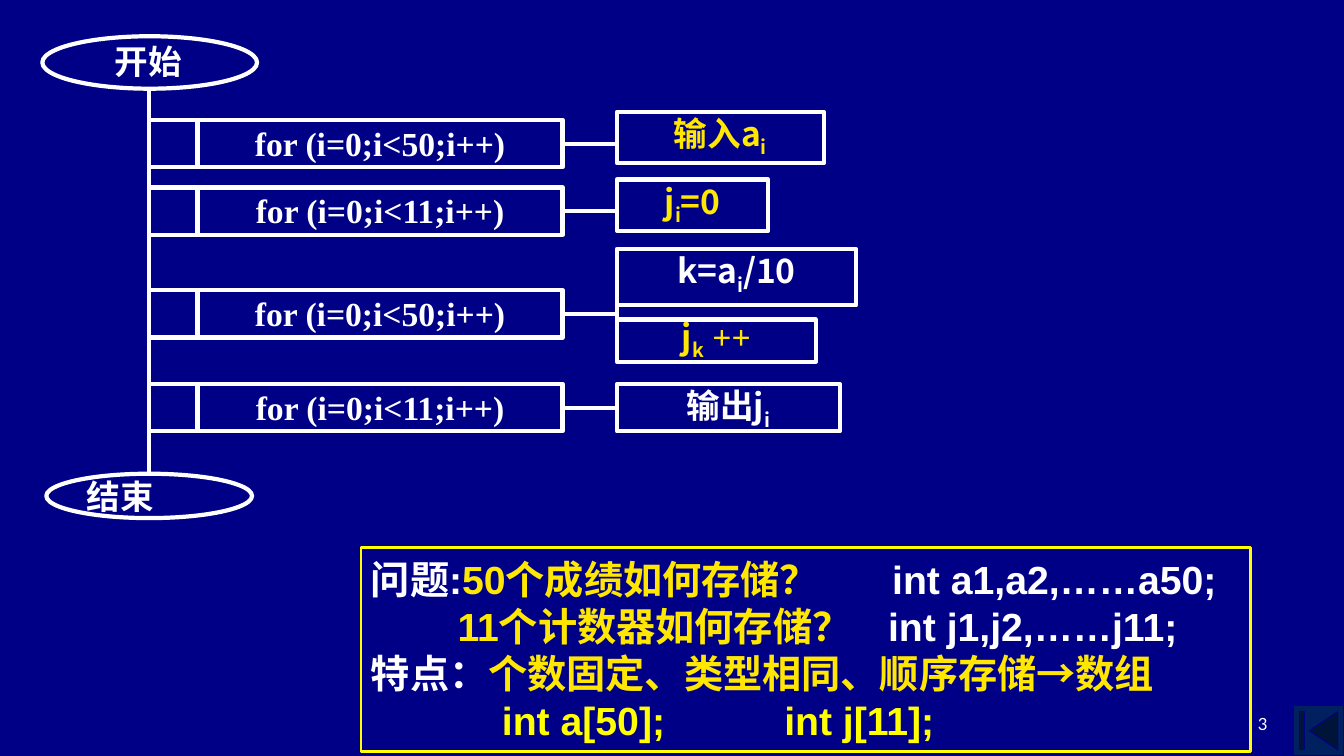
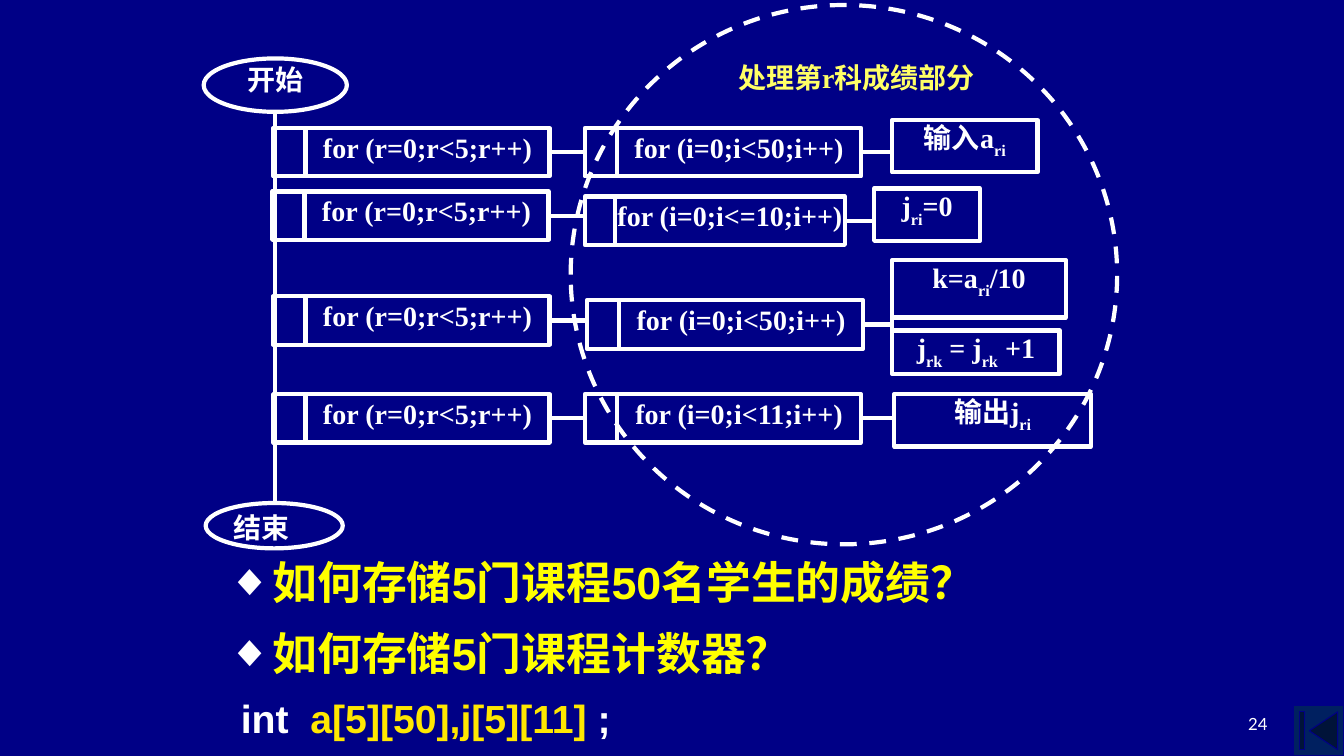
from dataclasses import dataclass

import lxml.etree
import pptx
import pptx.dml.color
import pptx.enum.dml
import pptx.enum.shapes
import pptx.enum.text
import pptx.oxml.ns
import pptx.util

Inches = pptx.util.Inches
Pt = pptx.util.Pt
Shape = pptx.enum.shapes.MSO_SHAPE
Align = pptx.enum.text.PP_ALIGN
Anchor = pptx.enum.text.MSO_ANCHOR

# Shared colours, fonts and measures
NAVY, BUTTON_BLUE = "000086", "002060"
WHITE, GOLD, YELLOW, PALE_YELLOW = "FFFFFF", "FFE701", "FFFF00", "FFFF66"
SERIF, SANS, CJK = "Times New Roman", "Arial", "Noto Sans CJK SC"
INSET = 0.01
STEP_INSET = 0.05
LINE_FACTOR = 1.25


@dataclass(frozen=True)
class Box:
    left: float
    top: float
    width: float
    height: float


@dataclass(frozen=True)
class Loop:
    """A loop bar with a narrow counter cell on its left."""
    box: Box
    cell_width: float
    code: str


@dataclass(frozen=True)
class Action:
    """A step; odd parts of the label between bars are subscripts."""
    box: Box
    label: str
    color: str = WHITE


@dataclass(frozen=True)
class Row:
    loops: tuple[Loop, ...]
    actions: tuple[Action, ...]


@dataclass(frozen=True)
class Terminal:
    ellipse: Box
    text_box: Box
    label: str
    align: Align


@dataclass(frozen=True)
class Flow:
    start: Terminal
    end: Terminal
    trunk: float
    size: int
    label_font: str
    subscript: int
    rows: tuple[Row, ...]


def rgb(color: str) -> pptx.dml.color.RGBColor:
    return pptx.dml.color.RGBColor.from_string(color)


def place(box: Box) -> tuple:
    return Inches(box.left), Inches(box.top), Inches(box.width), Inches(box.height)


def add_child(parent, tag: str, **attributes: str):
    child = lxml.etree.SubElement(parent, pptx.oxml.ns.qn(tag))
    for name, value in attributes.items():
        child.set(name, value)
    return child


def format_run(run, font: str, size: float, color: str, bold: bool = True) -> None:
    run.font.name = font
    run.font.size = Pt(size)
    run.font.bold = bold
    run.font.color.rgb = rgb(color)


def set_frame(shape, inset: float, anchor: Anchor = Anchor.TOP, wrap: bool = False):
    frame = shape.text_frame
    frame.margin_left = frame.margin_right = Inches(inset)
    frame.margin_top = frame.margin_bottom = Inches(min(inset, 0.05))
    frame.vertical_anchor = anchor
    frame.word_wrap = wrap
    return frame


def outline(slide, kind: Shape, box: Box, color: str = WHITE, width: float = 3):
    shape = slide.shapes.add_shape(kind, *place(box))
    shape.shadow.inherit = False
    shape.fill.background()
    shape.line.color.rgb = rgb(color)
    shape.line.width = Pt(width)
    return shape


def write_label(shape, label: str, flow: Flow, font: str, color: str = WHITE,
                align: Align = Align.CENTER) -> None:
    paragraph = set_frame(shape, INSET).paragraphs[0]
    paragraph.alignment = align
    paragraph.line_spacing = Pt(flow.size * LINE_FACTOR)
    for index, part in enumerate(label.split("|")):
        if not part:
            continue
        run = paragraph.add_run()
        run.text = part
        format_run(run, font, flow.size, color)
        if index % 2:
            run._r.get_or_add_rPr().set("baseline", str(flow.subscript * 1000))


def add_line(slide, x1: int, y1: int, x2: int, y2: int):
    kind = pptx.enum.shapes.MSO_CONNECTOR.STRAIGHT
    connector = slide.shapes.add_connector(kind, x1, y1, x2, y2)
    connector.line.color.rgb = rgb(WHITE)
    connector.line.width = Pt(3)
    add_child(connector._element.spPr, "a:effectLst")
    return connector


def link(slide, source, target) -> None:
    """Draw a level line from a bar to the left edge of the next shape."""
    middle = source.top + source.height // 2
    connector = add_line(slide, source.left + source.width, middle, target.left, middle)
    connector.begin_connect(source, 3)
    if abs(target.top + target.height // 2 - middle) < Inches(0.01):
        connector.end_connect(target, 1)


def add_terminal(slide, terminal: Terminal, flow: Flow) -> None:
    outline(slide, Shape.OVAL, terminal.ellipse)
    text_box = slide.shapes.add_textbox(*place(terminal.text_box))
    write_label(text_box, terminal.label, flow, SERIF, align=terminal.align)


def add_step(slide, action: Action, flow: Flow):
    """Add a step box, its label lowered as far as the box has room."""
    step = outline(slide, Shape.RECTANGLE, action.box)
    write_label(step, action.label, flow, flow.label_font, action.color)
    spare = max(0, step.height - Pt(flow.size * LINE_FACTOR))
    step.text_frame.margin_top = min(Inches(STEP_INSET), spare)
    step.text_frame.margin_bottom = 0
    return step


def add_row(slide, row: Row, flow: Flow) -> list:
    previous = None
    for loop in row.loops:
        box = loop.box
        cell = outline(slide, Shape.RECTANGLE,
                       Box(box.left - loop.cell_width, box.top, loop.cell_width, box.height))
        bar = outline(slide, Shape.RECTANGLE, box)
        write_label(bar, loop.code, flow, SERIF)
        if previous is not None:
            link(slide, previous, cell)
        previous = bar
    steps = [add_step(slide, action, flow) for action in row.actions]
    link(slide, previous, steps[0])
    if len(steps) > 1:
        first, last = steps[0], steps[-1]
        add_line(slide, first.left, first.top + Inches(0.22),
                 last.left, last.top + Inches(0.36))
    return steps


def draw_flow(slide, flow: Flow) -> list:
    start, end = flow.start.ellipse, flow.end.ellipse
    add_line(slide, Inches(flow.trunk), Inches(start.top + start.height),
             Inches(flow.trunk), Inches(end.top))
    for terminal in (flow.start, flow.end):
        add_terminal(slide, terminal, flow)
    return [add_row(slide, row, flow) for row in flow.rows]


def new_slide(presentation, layout: int, number: str):
    """Add a slide with the shared corner button and page number."""
    slide = presentation.slides.add_slide(presentation.slide_layouts[layout])
    button = outline(slide, Shape.ACTION_BUTTON_BEGINNING, Box(12.83, 7, 0.5, 0.5), NAVY, 0.75)
    button.fill.solid()
    button.fill.fore_color.rgb = rgb(BUTTON_BLUE)
    text_box = slide.shapes.add_textbox(*place(Box(9.56, 6.83, 3.11, 0.5)))
    frame = set_frame(text_box, 0.1, Anchor.BOTTOM, wrap=True)
    frame.text = number
    frame.paragraphs[0].alignment = Align.RIGHT
    format_run(frame.paragraphs[0].runs[0], "Lato", 12, WHITE, bold=False)
    return slide


def write_tabbed(paragraph, stops: tuple, parts: tuple) -> None:
    """Fill a 28 point paragraph with coloured parts and its own tab stops."""
    properties = paragraph._p.get_or_add_pPr()
    if stops:
        tabs = add_child(properties, "a:tabLst")
        for stop in stops:
            add_child(tabs, "a:tab", pos=str(Inches(stop)), algn="l")
    paragraph.alignment = Align.LEFT
    for text, color in parts:
        run = paragraph.add_run()
        run.text = text
        format_run(run, SANS, 28, color)


# Flow chart for one course
def single_row(top: float, limit: int, *actions: Action) -> Row:
    return Row((Loop(Box(1.96, top, 3.62, 0.47), 0.48, f"for (i=0;i<{limit};i++)"),), actions)


SINGLE_FLOW = Flow(
    Terminal(Box(0.42, 0.36, 2.13, 0.52), Box(0.5, 0.38, 1.94, 0.49), "开始", Align.CENTER),
    Terminal(Box(0.46, 4.7, 2.04, 0.44), Box(0.85, 4.69, 1.53, 0.42), "结束", Align.LEFT),
    1.48, 24, CJK, -25,
    (single_row(1.19, 50, Action(Box(6.12, 1.11, 2.05, 0.51), "输入a|i", GOLD)),
     single_row(1.86, 11, Action(Box(6.12, 1.78, 1.5, 0.51), "j|i|=0", GOLD)),
     single_row(2.88, 50, Action(Box(6.12, 2.47, 2.37, 0.56), "k=a|i|/10"),
                Action(Box(6.12, 3.17, 1.97, 0.42), "j|k| ++", GOLD)),
     single_row(3.81, 11, Action(Box(6.12, 3.81, 2.21, 0.47), "输出j|i"))))


# Flow chart for five courses
def nested_row(left: float, top: float, inner: Loop, *actions: Action) -> Row:
    return Row((Loop(Box(left, top, 2.42, 0.48), 0.32, "for (r=0;r<5;r++)"), inner), actions)


NESTED_FLOW = Flow(
    Terminal(Box(2.02, 0.58, 1.42, 0.53), Box(2.08, 0.6, 1.3, 0.5), "开始", Align.CENTER),
    Terminal(Box(2.04, 4.99, 1.36, 0.45), Box(2.31, 5.04, 1.02, 0.43), "结束", Align.LEFT),
    2.73, 20, SERIF, -30,
    (nested_row(3.03, 1.27, Loop(Box(6.12, 1.27, 2.42, 0.48), 0.32, "for (i=0;i<50;i++)"),
                Action(Box(8.85, 1.19, 1.44, 0.52), "输入a|ri")),
     nested_row(3.02, 1.9, Loop(Box(6.1, 1.95, 2.28, 0.48), 0.3, "for (i=0;i<=10;i++)"),
                Action(Box(8.67, 1.87, 1.05, 0.52), "j|ri|=0")),
     nested_row(3.03, 2.94, Loop(Box(6.14, 2.98, 2.42, 0.48), 0.32, "for (i=0;i<50;i++)"),
                Action(Box(8.85, 2.58, 1.72, 0.57), "k=a|ri|/10"),
                Action(Box(8.85, 3.28, 1.66, 0.43), "j|rk| = j|rk| +1")),
     nested_row(3.03, 3.91, Loop(Box(6.12, 3.91, 2.42, 0.48), 0.32, "for (i=0;i<11;i++)"),
                Action(Box(8.87, 3.91, 1.95, 0.52), "输出j|ri"))))

# Tab stops and coloured parts of the summary lines
SUMMARY = (
    ((5.17,), (("问题:", WHITE), ("50个成绩如何存储？", GOLD), ("\tint a1,a2,……a50;", WHITE))),
    ((0.86, 5.13), (("\t11个计数器如何存储？", GOLD), ("\tint j1,j2,……j11;", WHITE))),
    ((), (("特点：", WHITE), ("个数固定、类型相同、顺序存储→数组", GOLD))),
    ((1.3, 4.1), (("\tint a[50];\tint j[11];", YELLOW),)),
)
QUESTIONS = ("如何存储5门课程50名学生的成绩？", "如何存储5门课程计数器？")


def build_single(presentation) -> None:
    slide = new_slide(presentation, 6, "3")
    steps = draw_flow(slide, SINGLE_FLOW)
    increment = steps[2][-1].text_frame.paragraphs[0].runs[-1]
    increment.font.name = SERIF

    # Summary box
    summary = outline(slide, Shape.RECTANGLE, Box(3.58, 5.43, 8.82, 2.03), YELLOW, 2)
    frame = set_frame(summary, 0.1, Anchor.MIDDLE, wrap=True)
    for index, (stops, parts) in enumerate(SUMMARY):
        paragraph = frame.add_paragraph() if index else frame.paragraphs[0]
        write_tabbed(paragraph, stops, parts)
        paragraph.line_spacing = Pt(33.6)


def build_nested(presentation) -> None:
    slide = new_slide(presentation, 1, "24")
    title = slide.shapes.title
    title._element.getparent().remove(title._element)
    draw_flow(slide, NESTED_FLOW)

    # Dashed circle around the part for one course
    circle = outline(slide, Shape.OVAL, Box(5.66, 0.05, 5.42, 5.35))
    circle.line.dash_style = pptx.enum.dml.MSO_LINE.DASH
    caption = slide.shapes.add_textbox(*place(Box(7, 0.58, 2.99, 0.63)))
    write_label(caption, "处理第r科成绩部分", NESTED_FLOW, SERIF, PALE_YELLOW)

    # Questions
    body = slide.placeholders[1]
    body.left, body.top, body.width, body.height = place(Box(1.66, 5.51, 9.06, 1.34))
    frame = set_frame(body, 0.1, wrap=True)
    frame.text = "\n".join(QUESTIONS)
    for index, paragraph in enumerate(frame.paragraphs):
        properties = paragraph._p.get_or_add_pPr()
        properties.set("marL", str(Inches(0.81)))
        properties.set("indent", str(Inches(-0.31)))
        add_child(add_child(properties, "a:buClr"), "a:srgbClr", val=WHITE)
        add_child(properties, "a:buFont", typeface=SANS)
        add_child(properties, "a:buChar", char="◆")
        paragraph.line_spacing = Pt(34.6)
        paragraph.space_before = Pt(16 if index else 0)
        format_run(paragraph.runs[0], SANS, 32, YELLOW)

    # Declaration
    declaration = slide.shapes.add_textbox(*place(Box(2.29, 6.89, 3.91, 0.52)))
    paragraph = set_frame(declaration, 0.1, wrap=True).paragraphs[0]
    write_tabbed(paragraph, (0.69,),
                 (("int\t", WHITE), ("a[5][50],j[5][11]", GOLD), (" ;", WHITE)))
    paragraph.line_spacing = 0.9


def main() -> None:
    presentation = pptx.Presentation()
    presentation.slide_width, presentation.slide_height = Inches(13.33), Inches(7.5)
    background = presentation.slide_master.background.fill
    background.solid()
    background.fore_color.rgb = rgb(NAVY)
    build_single(presentation)
    build_nested(presentation)
    presentation.save("out.pptx")


if __name__ == "__main__":
    main()
